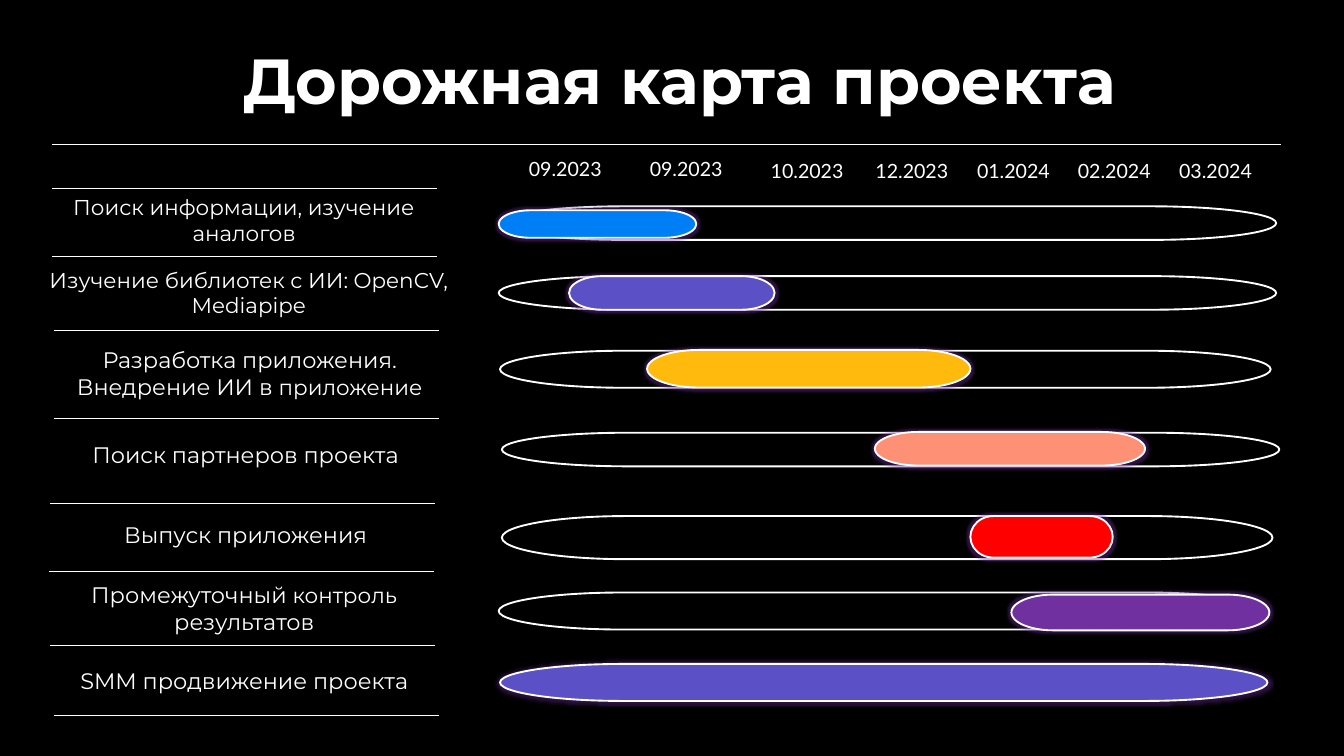
from lxml import etree
from pptx import Presentation
from pptx import util as u
from pptx.dml.color import RGBColor
from pptx.enum import shapes, text
from pptx.oxml import ns

WHITE, BLACK, GLOW = "FFFFFF", "000000", "7030A0"
WIDTH, HEIGHT = 50.8, 28.58
LABEL_LEFT, LABEL_WIDTH = 1.42, 15.62
RULE_WIDTH = 14.55
MONTH_WIDTH, MONTH_HEIGHT = 5.38, 1.14

# Month label: text, left, top
MONTHS = [
    ("09.2023", 19.74, 5.82),
    ("09.2023", 24.31, 5.82),
    ("10.2023", 28.88, 5.87),
    ("12.2023", 32.84, 5.87),
    ("01.2024", 36.68, 5.87),
    ("02.2024", 40.49, 5.87),
    ("03.2024", 44.32, 5.87),
]

# Stage: label spans (text, size), label (left, top, height),
# empty track or None, coloured bar (left, top, width, height), bar colour
STAGES = [
    ([("Поиск информации, изучение аналогов", 23)], (1.42, 7.21, 2.31),
     (18.85, 7.8, 29.39, 1.27), (18.85, 7.95, 7.47, 1.04), "007EF6"),
    ([("Изучение библиотек с ИИ: OpenCV, Mediapipe", 23)], (1.6, 9.96, 2.31),
     (18.85, 10.44, 29.39, 1.27), (21.51, 10.44, 7.77, 1.27), "5B50C5"),
    ([("Разработка приложения. Внедрение ИИ в ", 24), ("приложение", 23)],
     (1.63, 12.95, 2.31),
     (18.9, 13.26, 29.13, 1.4), (24.46, 13.23, 12.22, 1.42), "FFBA0D"),
    ([("Поиск партнеров проекта", 24)], (1.47, 16.56, 1.27),
     (18.97, 16.36, 29.39, 1.27), (33.07, 16.33, 10.21, 1.27), "FD9075"),
    ([("Выпуск приложения", 24)], (1.47, 19.58, 1.27),
     (18.97, 19.51, 29.13, 1.63), (36.68, 19.51, 5.38, 1.57), "FF0000"),
    ([("Промежуточный ", 24), ("контроль", 23), (" результатов", 24)],
     (1.42, 21.84, 2.31),
     (18.85, 22.4, 29.13, 1.4), (38.23, 22.48, 9.75, 1.35), "7030A0"),
    ([("SMM продвижение проекта", 24)], (1.42, 25.1, 1.27),
     None, (18.9, 25.1, 29.01, 1.4), "5B50C5"),
]

# Left and top of the rules between the stage labels
RULES = [(1.98, 7.11), (1.98, 9.68), (2.03, 12.5), (2.03, 15.82),
         (1.9, 19.02), (1.85, 21.59), (1.88, 24.41), (2.03, 27.03)]


def colour(value):
    return RGBColor.from_string(value)


def add_span(para, words, size, font="Montserrat", bold=False, fill=WHITE):
    span = para.add_run()
    span.text = words
    span.font.name = font
    span.font.size = u.Pt(size)
    span.font.bold = bold
    span.font.color.rgb = colour(fill)


class Roadmap:
    def __init__(self, page):
        self.page = page
        self.line = WHITE
        self.bar_line = u.Pt(2)
        self.rule_line = u.Pt(0.75)

    def shape(self, kind, place, fill=None, line=None, glow=False):
        shape = self.page.shapes.add_shape(kind, *map(u.Cm, place))
        shape.shadow.inherit = False
        if fill:
            shape.fill.solid()
            shape.fill.fore_color.rgb = colour(fill)
        else:
            shape.fill.background()
        shape.line.color.rgb = colour(line or self.line)
        shape.line.width = self.bar_line
        if glow:
            self.glow(shape)

    def glow(self, shape):
        effects = shape.element.spPr.find(ns.qn("a:effectLst"))
        halo = etree.SubElement(effects, ns.qn("a:glow"), rad=str(u.Pt(5)))
        tint = etree.SubElement(halo, ns.qn("a:srgbClr"), val=GLOW)
        etree.SubElement(tint, ns.qn("a:alpha"), val="40000")

    def bar(self, place, fill=None):
        """Draw a rounded bar: a glowing one if filled, else an empty track."""
        self.shape(shapes.MSO_SHAPE.FLOWCHART_TERMINATOR, place, fill,
                   glow=bool(fill))

    def rule(self, left, top, width):
        rule = self.page.shapes.add_connector(
            shapes.MSO_CONNECTOR.STRAIGHT,
            u.Cm(left), u.Cm(top), u.Cm(left + width), u.Cm(top))
        rule.line.color.rgb = colour(self.line)
        rule.line.width = self.rule_line
        etree.SubElement(rule.element.spPr, ns.qn("a:effectLst"))

    def text(self, place, spans, align=text.PP_ALIGN.LEFT, spacing=None,
             inset=True, **style):
        box = self.page.shapes.add_textbox(*map(u.Cm, place))
        frame = box.text_frame
        frame.word_wrap = True
        frame.auto_size = text.MSO_AUTO_SIZE.SHAPE_TO_FIT_TEXT
        if not inset:
            frame.margin_left = frame.margin_right = 0
            frame.margin_top = frame.margin_bottom = 0
        para = frame.paragraphs[0]
        para.alignment = align
        if spacing:
            para.line_spacing = spacing
        for words, size in spans:
            add_span(para, words, size, **style)


def main():
    deck = Presentation()
    deck.slide_width, deck.slide_height = u.Cm(WIDTH), u.Cm(HEIGHT)
    roadmap = Roadmap(deck.slides.add_slide(deck.slide_layouts[6]))

    roadmap.shape(shapes.MSO_SHAPE.RECTANGLE, (0, 0, WIDTH, HEIGHT),
                  BLACK, BLACK)
    roadmap.text((9.19, 1.24, 38.43, 3.2), [("Дорожная карта проекта", 68.2)],
                 spacing=1.1, inset=False, bold=True)
    roadmap.rule(1.98, 5.46, 46.43)

    for month, left, top in MONTHS:
        roadmap.text((left, top, MONTH_WIDTH, MONTH_HEIGHT), [(month, 21)],
                     font="Lato")
    for left, top in RULES:
        roadmap.rule(left, top, RULE_WIDTH)
    for spans, (left, top, height), track, bar, fill in STAGES:
        roadmap.text((left, top, LABEL_WIDTH, height), spans,
                     align=text.PP_ALIGN.CENTER)
        if track:
            roadmap.bar(track)
        roadmap.bar(bar, fill)

    deck.save("out.pptx")


if __name__ == "__main__":
    main()
